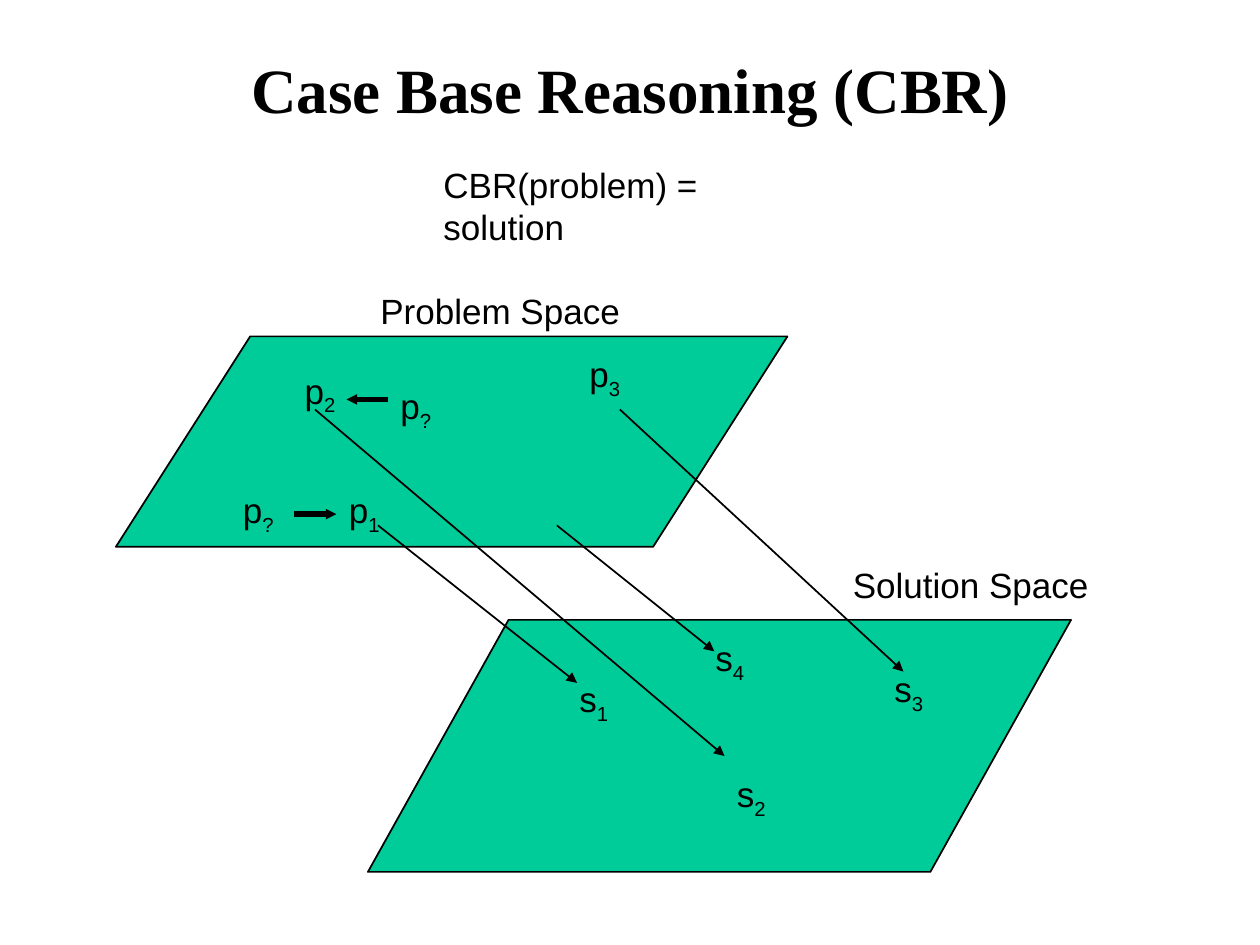
"""Build the Case Base Reasoning slide with its problem and solution spaces."""
from lxml import etree
from pptx import Presentation
from pptx.dml.color import RGBColor
from pptx.enum.shapes import MSO_CONNECTOR, MSO_SHAPE
from pptx.enum.text import MSO_ANCHOR, MSO_AUTO_SIZE, PP_ALIGN
from pptx.oxml.ns import qn
from pptx.util import Inches, Pt

STRAIGHT = MSO_CONNECTOR.STRAIGHT
PARALLELOGRAM = MSO_SHAPE.FLOWCHART_DATA
MIDDLE = MSO_ANCHOR.MIDDLE
FIT_SHAPE = MSO_AUTO_SIZE.SHAPE_TO_FIT_TEXT
CENTER = PP_ALIGN.CENTER
BLACK = RGBColor(0x00, 0x00, 0x00)
GREEN = RGBColor(0x00, 0xCC, 0x99)
TITLE_FONT = {"name": "Times New Roman", "size": Pt(36), "bold": True}
LABEL_FONT = {"name": "Arial", "size": Pt(20)}


def add_label(shapes, box, text, subscript="", wrap=True):
    tf = shapes.add_textbox(*map(Inches, box)).text_frame
    tf.word_wrap = wrap
    tf.auto_size = FIT_SHAPE
    p = tf.paragraphs[0]
    for part in filter(None, (text, subscript)):
        r = p.add_run()
        r.text = part
        for name, value in LABEL_FONT.items():
            setattr(r.font, name, value)
        r.font.color.rgb = BLACK
    if subscript:
        r._r.get_or_add_rPr().set("baseline", "-25000")


def add_arrow(shapes, ends, width=1, head="med"):
    arrow = shapes.add_connector(STRAIGHT, *map(Inches, ends))
    arrow.line.color.rgb = BLACK
    arrow.line.width = Pt(width)
    etree.SubElement(arrow.line._get_or_add_ln(), qn("a:tailEnd"),
                     type="triangle", w=head, len=head)
    etree.SubElement(arrow._element.spPr, qn("a:effectLst"))


prs = Presentation()
prs.slide_width, prs.slide_height = Inches(10), Inches(7.5)
s = prs.slides.add_slide(prs.slide_layouts[5])

title = s.shapes.title
title.left, title.top = Inches(0.75), Inches(0.08)
title.width, title.height = Inches(8.5), Inches(1.25)
tf = title.text_frame
tf.vertical_anchor = MIDDLE
p = tf.paragraphs[0]
p.alignment = CENTER
r = p.add_run()
r.text = "Case Base Reasoning (CBR)"
for name, value in TITLE_FONT.items():
    setattr(r.font, name, value)
r.font.color.rgb = BLACK

for box in [(2.92, 4.92, 5.58, 2), (0.92, 2.67, 5.33, 1.67)]:
    sp = s.shapes.add_shape(PARALLELOGRAM, *map(Inches, box))
    sp.shadow.inherit = False
    sp.fill.solid()
    sp.fill.fore_color.rgb = GREEN
    sp.line.color.rgb = BLACK
    sp.line.width = Pt(1)

for left, top, width, text in [
    (3.42, 1.25, 3.25, "CBR(problem) = solution"),
    (2.92, 2.25, 2.1, "Problem Space"),
    (6.67, 4.42, 2.07, "Solution Space"),
]:
    add_label(s.shapes, (left, top, width, 0.44), text, wrap=False)

for left, top, letter, number in [
    (2.67, 3.83, "p", "1"), (2.32, 2.88, "p", "2"), (4.58, 2.75, "p", "3"),
    (4.5, 5.33, "s", "1"), (5.75, 6.08, "s", "2"),
    (7, 5.25, "s", "3"), (5.58, 5, "s", "4"),
]:
    add_label(s.shapes, (left, top, 0.52, 0.48), letter, number)

for ends in [(3, 4.17, 4.58, 5.42), (2.5, 3.25, 5.75, 6),
             (4.92, 3.25, 7.17, 5.33), (4.42, 4.17, 5.67, 5.17)]:
    add_arrow(s.shapes, ends)

for left, top, ends in [(3.08, 3, (3.08, 3.17, 2.75, 3.17)),
                        (1.83, 3.83, (2.33, 4.08, 2.67, 4.08))]:
    query = s.shapes.add_group_shape()
    add_label(query.shapes, (left, top, 0.52, 0.48), "p", "?")
    add_arrow(query.shapes, ends, width=3, head="sm")

prs.save("out.pptx")
